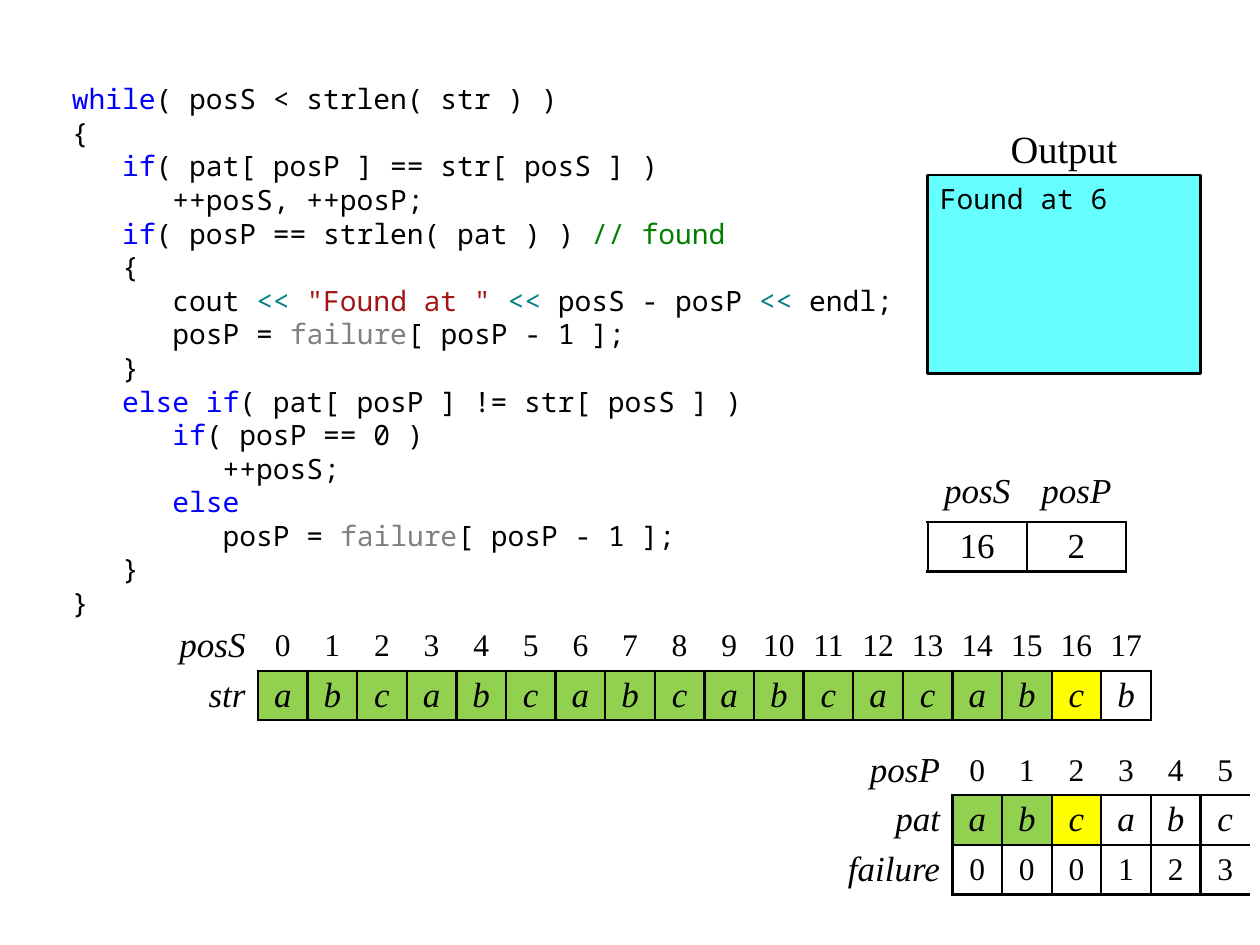
from dataclasses import dataclass

from lxml.etree import SubElement
from pptx import Presentation
from pptx.dml.color import RGBColor
from pptx.enum.shapes import MSO_SHAPE
from pptx.enum.text import MSO_ANCHOR, MSO_AUTO_SIZE, PP_ALIGN
from pptx.oxml.ns import qn
from pptx.util import Cm, Pt


@dataclass(frozen=True)
class Theme:
    """Colours, fonts and type sizes of the slide."""
    mono: str = "Noto Sans Mono"
    serif: str = "Times New Roman"
    ink: str = "000000"
    word: str = "0000FF"
    note: str = "008000"
    sign: str = "008080"
    quote: str = "A31515"
    dim: str = "808080"
    done: str = "92D050"
    now: str = "FFFF00"
    blank: str = "FFFFFF"
    panel: str = "66FFFF"
    code: int = 16
    index: int = 18
    item: int = 20
    head: int = 22
    line: float = 1.5
    lead: float = 19.2


LOOK = Theme()
NO_STYLE = "{2D5ABB26-0587-4C30-8999-92F81FD0307C}"
TINTS = {
    "while": LOOK.word, "if": LOOK.word, "else": LOOK.word, "else if": LOOK.word,
    "// found": LOOK.note, "<< ": LOOK.sign, '"Found at " ': LOOK.quote,
    "failure": LOOK.dim,
}
CODE = """while|( posS < strlen( str ) )
{
   |if|( pat[ posP ] == str[ posS ] )
      ++posS, ++posP;
   |if|( posP == strlen( pat ) ) |// found
   {
      cout |<< |"Found at " |<< |posS - posP |<< |endl;
      posP = |failure|[ posP - 1 ];
   }
   |else if|( pat[ posP ] != str[ posS ] )
      |if|( posP == 0 )
         ++posS;
      |else
         posP = |failure|[ posP - 1 ];
   }
}"""
MONO = {"name": LOOK.mono, "size": Pt(LOOK.code)}
NAME = {"name": LOOK.serif, "size": Pt(LOOK.item), "italic": True}
VALUE = {"name": LOOK.serif, "size": Pt(LOOK.item), "italic": False}
INDEX = {"name": LOOK.serif, "size": Pt(LOOK.index), "italic": False}
HEAD = {"name": LOOK.serif, "size": Pt(LOOK.head)}


def apply(thing, form):
    """Set each attribute named in a dict of format values."""
    for key, value in form.items():
        setattr(thing, key, value)


def pads(side, top=0, foot=0):
    """Give the margins of a text frame or cell in centimetres."""
    return {"margin_left": Cm(side), "margin_right": Cm(side),
            "margin_top": Cm(top), "margin_bottom": Cm(foot)}


def write(para, text, form, tint=LOOK.ink):
    """Add a run of text to a paragraph."""
    run = para.add_run()
    run.text = text
    apply(run.font, form)
    run.font.color.rgb = RGBColor.from_string(tint)


def place(shape, box):
    """Move a shape to a box given in centimetres."""
    apply(shape, dict(zip(("left", "top", "width", "height"), map(Cm, box))))


def rule(cell, sides):
    """Draw the named borders of a cell."""
    props = cell._tc.get_or_add_tcPr()
    for side in sides:
        line = SubElement(props, qn(f"a:ln{side}"), w=str(Pt(LOOK.line)))
        fill = SubElement(line, qn("a:solidFill"))
        SubElement(fill, qn("a:srgbClr"), val=LOOK.ink)


def listing(slide, box):
    """Fill the body placeholder with the coloured program."""
    body = slide.placeholders[1]
    place(body, box)
    frame = body.text_frame
    apply(frame, {**pads(0.25, 0.13, 0.13), "margin_right": Cm(0.1), "word_wrap": True,
                  "auto_size": MSO_AUTO_SIZE.NONE, "vertical_anchor": MSO_ANCHOR.TOP})
    for row, line in enumerate(CODE.splitlines()):
        para = frame.add_paragraph() if row else frame.paragraphs[0]
        props = para._p.get_or_add_pPr()
        props.set("marL", "0")
        props.set("indent", "0")
        SubElement(props, qn("a:buNone"))
        apply(para, {"line_spacing": Pt(LOOK.lead), "space_before": Pt(0),
                     "space_after": Pt(0), "alignment": PP_ALIGN.LEFT})
        for part in filter(None, line.split("|")):
            write(para, part, MONO, TINTS.get(part, LOOK.ink))


def output(slide, box):
    """Draw the output panel with its heading above."""
    left, top, width, height = box
    panel = slide.shapes.add_shape(MSO_SHAPE.RECTANGLE, *map(Cm, box))
    panel.shadow.inherit = False
    panel.fill.solid()
    panel.fill.fore_color.rgb = RGBColor.from_string(LOOK.panel)
    panel.line.color.rgb = RGBColor.from_string(LOOK.ink)
    panel.line.width = Pt(LOOK.line)
    frame = panel.text_frame
    apply(frame, {**pads(0.25, 0.13, 0.13), "vertical_anchor": MSO_ANCHOR.TOP})
    para = frame.paragraphs[0]
    apply(para, {"alignment": PP_ALIGN.LEFT, "line_spacing": Pt(LOOK.lead)})
    write(para, "Found at 6", MONO)

    title = slide.shapes.add_textbox(Cm(left + 1), Cm(top - 1), Cm(width - 2), Cm(1))
    frame = title.text_frame
    apply(frame, {**pads(0.25, 0, 0.13), "word_wrap": True})
    para = frame.paragraphs[0]
    para.alignment = PP_ALIGN.CENTER
    write(para, "Output", HEAD)


def grid(slide, box, rows, forms, cols, names=True, fills=(), pad=0.1, edge=True):
    """Draw an index row above boxed rows, with names on the left if asked."""
    table = slide.shapes.add_table(len(rows), len(cols), *map(Cm, box)).table
    apply(table, {"first_row": False, "horz_banding": False})
    table._tbl.tblPr.find(qn("a:tableStyleId")).text = NO_STYLE
    for col, width in zip(table.columns, cols):
        col.width = Cm(width)
    for r, (row, form) in enumerate(zip(rows, forms)):
        table.rows[r].height = Cm(box[3] / len(rows))
        for c, text in enumerate(row):
            cell = table.cell(r, c)
            label = names and c == 0
            top = not (names or r)
            apply(cell, {**pads(0.25 if label else 0 if top else pad), "vertical_anchor":
                         MSO_ANCHOR.TOP if top else MSO_ANCHOR.MIDDLE})
            if r and not label:
                rule(cell, "LRTB" if edge or c < len(row) - 1 else "LTB")
            tint = fills[c - 1] if r == 1 and names and not label else None
            if tint:
                cell.fill.solid()
                cell.fill.fore_color.rgb = RGBColor.from_string(tint)
            else:
                cell.fill.background()
            para = cell.text_frame.paragraphs[0]
            para.alignment = PP_ALIGN.RIGHT if label else PP_ALIGN.CENTER
            write(para, text, NAME if label else form)


def marks(done, size):
    """Give the fills for matched, current and waiting letters."""
    return [LOOK.done] * done + [LOOK.now] + [LOOK.blank] * (size - done - 1)


def count(size):
    """Give the index labels from zero."""
    return [str(i) for i in range(size)]


def main():
    """Build the slide and save it."""
    deck = Presentation()
    apply(deck, {"slide_width": Cm(25.4), "slide_height": Cm(19.05)})
    slide = deck.slides.add_slide(deck.slide_layouts[1])
    title = slide.shapes.title._element
    title.getparent().remove(title)

    listing(slide, (1.2, 1.52, 17, 11))
    string, pat = "abcabcabcabcacabcb", "abcabc"
    long, short = len(string), len(pat)
    grid(slide, (3.2, 12.52, 20, 2),
         [["posS", *count(long)], ["str", *string]], [INDEX, NAME],
         [2] + [1] * long, fills=marks(16, long))
    grid(slide, (18.7, 9.52, 4, 2), [["posS", "posP"], ["16", "2"]],
         [NAME, VALUE], [2, 2], names=False, pad=0.2)
    grid(slide, (16.7, 15.03, 8.5, 3),
         [["posP", *count(short)], ["pat", *pat], ["failure", *"000123"]],
         [INDEX, NAME, INDEX], [2.5] + [1] * short,
         fills=marks(2, short), pad=0.25, edge=False)
    output(slide, (18.7, 3.53, 5.5, 4))
    deck.save("out.pptx")


if __name__ == "__main__":
    main()
